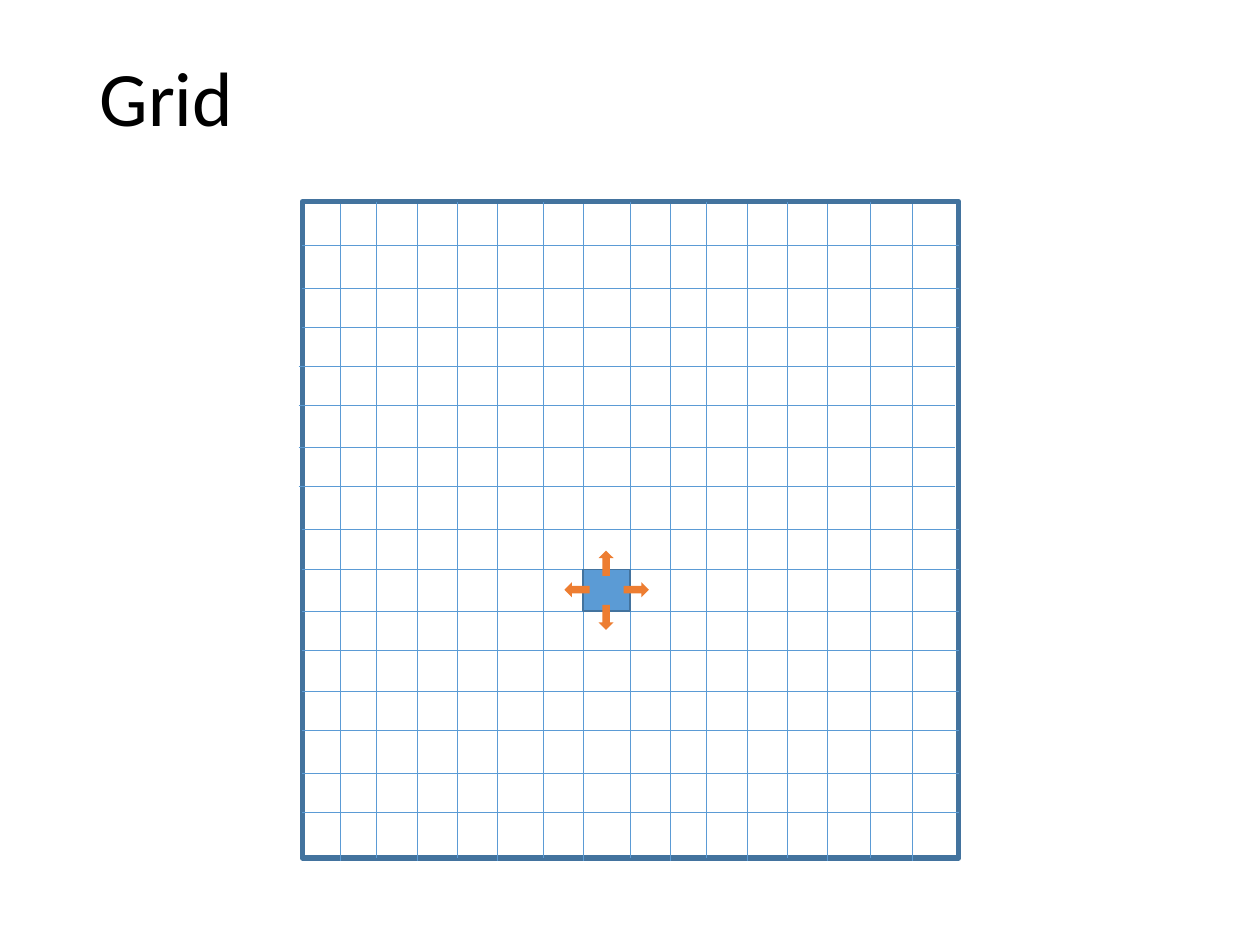
"""Build a slide that shows a cell on a square grid with four ways to move."""
from dataclasses import dataclass

from lxml.etree import SubElement
from pptx import Presentation
from pptx.dml.color import RGBColor
from pptx.enum.shapes import MSO_CONNECTOR, MSO_SHAPE
from pptx.enum.text import MSO_ANCHOR, PP_ALIGN
from pptx.oxml.ns import qn
from pptx.util import Pt

SCALE = 9144
FRAME = (240, 160, 521, 521)
CELL = (463, 452, 37, 33)
COLS = (270, 299, 331, 363, 395, 431, 463, 500, 532, 561, 593, 625, 657, 691, 724)
ROWS = (195, 229, 260, 291, 322, 355, 386, 420, 452, 485, 516, 549, 580, 614, 645)
MID_COL, MID_ROW = 500, 420
ARROWS = (
    (MSO_SHAPE.RIGHT_ARROW, (495, 462, 20, 12)),
    (MSO_SHAPE.DOWN_ARROW, (475, 480, 12, 20)),
    (MSO_SHAPE.UP_ARROW, (475, 437, 12, 20)),
    (MSO_SHAPE.LEFT_ARROW, (448, 462, 20, 12)),
)


@dataclass(frozen=True)
class Theme:
    font: str = "Calibri"
    size: int = 44
    ink: str = "000000"
    edge: str = "43739E"
    blue: str = "5B9BD5"
    hot: str = "ED7D31"


THEME = Theme()


def px(*nums):
    return [num * SCALE for num in nums]


def apply(item, values):
    for name, value in values.items():
        setattr(item, name, value)


def add_title(slide, text):
    title = slide.shapes.title
    apply(title, dict(zip(("left", "top", "width", "height"), px(69, 17, 862, 128))))
    title.text_frame.text = text
    title.text_frame.vertical_anchor = MSO_ANCHOR.MIDDLE
    para = title.text_frame.paragraphs[0]
    apply(para, {"alignment": PP_ALIGN.LEFT, "line_spacing": 0.9})
    font = para.runs[0].font
    apply(font, {"name": THEME.font, "size": Pt(THEME.size)})
    font.color.rgb = RGBColor.from_string(THEME.ink)


def add_shape(slide, kind, box, fill=None, edge=None, width=0):
    shape = slide.shapes.add_shape(kind, *px(*box))
    shape.shadow.inherit = False
    if fill:
        shape.fill.solid()
        shape.fill.fore_color.rgb = RGBColor.from_string(fill)
    else:
        shape.fill.background()
    if edge:
        shape.line.color.rgb = RGBColor.from_string(edge)
        shape.line.width = Pt(width)
    else:
        shape.line.fill.background()
    return shape


def add_line(slide, *ends):
    line = slide.shapes.add_connector(MSO_CONNECTOR.STRAIGHT, *px(*ends))
    line.line.color.rgb = RGBColor.from_string(THEME.blue)
    line.line.width = Pt(0.5)
    SubElement(line._element.spPr, qn("a:effectLst"))
    return line


def join(line, shape, start, end):
    line.begin_connect(shape, start)
    line.end_connect(shape, end)


def add_grid(slide):
    left, top, width, height = FRAME
    frame = add_shape(slide, MSO_SHAPE.RECTANGLE, FRAME, edge=THEME.edge, width=3)
    for num, col in enumerate(COLS):
        start = top + (2 if num % 2 == 0 else 0)
        line = add_line(slide, col, start, col, start + height)
        if col == MID_COL:
            join(line, frame, 0, 2)
    for row in ROWS:
        start = left - (3 if 290 < row < 390 else 0)
        line = add_line(slide, start, row, start + width, row)
        if row == MID_ROW:
            join(line, frame, 1, 3)


def main():
    deck = Presentation()
    deck.slide_width, deck.slide_height = px(1000, 750)
    slide = deck.slides.add_slide(deck.slide_layouts[5])
    add_title(slide, "Grid")
    add_grid(slide)
    add_shape(slide, MSO_SHAPE.RECTANGLE, CELL, THEME.blue, THEME.edge, 1)
    for kind, box in ARROWS:
        add_shape(slide, kind, box, THEME.hot)
    deck.save("out.pptx")


if __name__ == "__main__":
    main()
